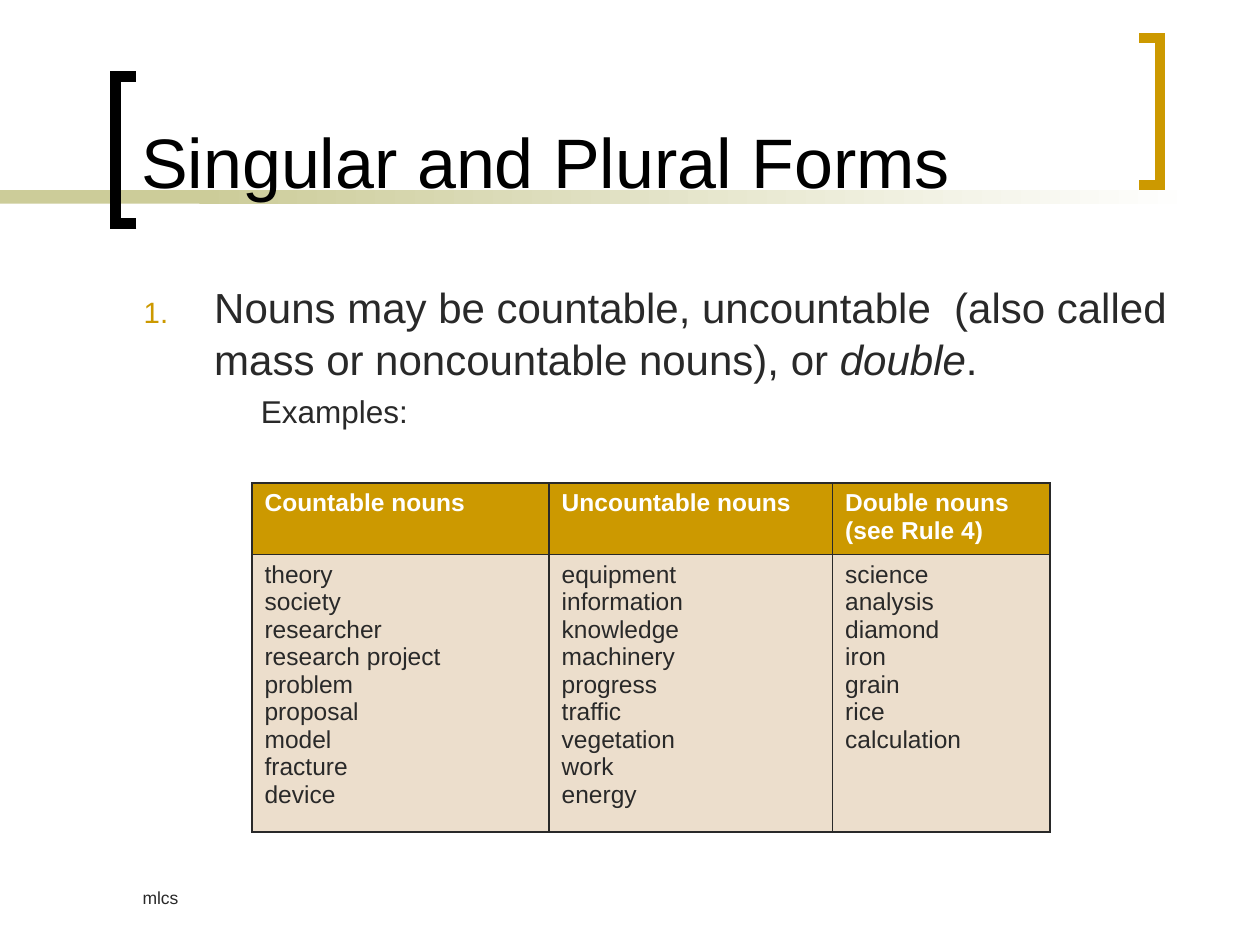
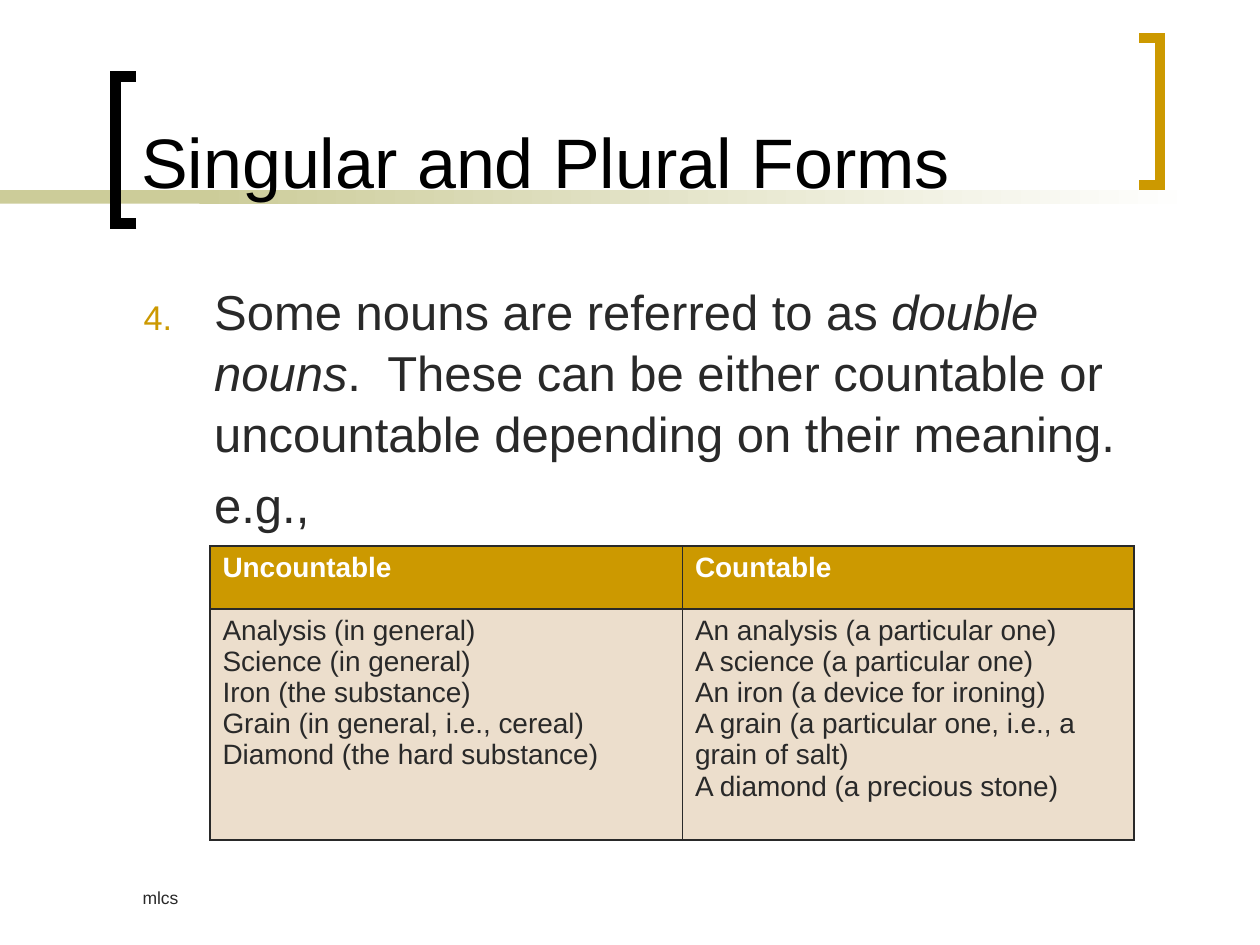
from lxml.etree import SubElement
from pptx import Presentation
from pptx.dml.color import RGBColor
from pptx.enum.shapes import MSO_SHAPE as Shape
from pptx.enum.text import MSO_ANCHOR as Anchor
from pptx.oxml import parse_xml
from pptx.oxml.ns import nsdecls, qn
from pptx.util import Inches, Pt

BLACK = RGBColor(0x00, 0x00, 0x00)
WHITE = RGBColor(0xFF, 0xFF, 0xFF)
INK = RGBColor(0x29, 0x29, 0x29)
GOLD = RGBColor(0xCC, 0x99, 0x00)
OLIVE = RGBColor(0xCC, 0xCC, 0x99)
SAND = RGBColor(0xEC, 0xDE, 0xCC)
FONT = "Arial"

deck = Presentation()
deck.slide_width, deck.slide_height = Inches(10), Inches(7.5)
UNIT = deck.slide_width // 120  # the page is a grid of 120 columns by 90 rows

BAND_TOP, BAND_HEIGHT = 18.1, 1.3
BRACKET_ARM, BRACKET_HEIGHT = 2, 14
# Each bracket: colour, column of the arm ends, column of the spine, top row
BRACKETS = [(BLACK, 13, 11, 7.3), (GOLD, 108.5, 110.5, 3.6)]

# Each body paragraph: left margin, first-line indent (inches), size, number, runs
SLIDES = [
    dict(
        body=[
            (0.56, -0.56, 24, 1, [
                ("Nouns may be countable, uncountable  (also called mass or "
                 "noncountable nouns), or ", False),
                ("double", True), (".", False)]),
            (0.93, 0, 18, None, [("Examples:", False)]),
        ],
        corner=(24, 46), columns=(28.3, 27, 20.7), rows=(6.4, 25), size=14,
        cells=[
            ["Countable nouns", "Uncountable nouns", "Double nouns\n(see Rule 4)"],
            ["theory\nsociety\nresearcher\nresearch project\nproblem\n"
             "proposal\nmodel\nfracture\ndevice",
             "equipment\ninformation\nknowledge\nmachinery\nprogress\n"
             "traffic\nvegetation\nwork\nenergy",
             "science\nanalysis\ndiamond\niron\ngrain\nrice\ncalculation"],
        ],
    ),
    dict(
        body=[
            (0.56, -0.56, 28, 4, [
                ("Some nouns are referred to as ", False),
                ("double nouns", True),
                (".  These can be either countable or uncountable depending "
                 "on their meaning.", False)]),
            (0.56, 0, 28, None, [("e.g.,", False)]),
        ],
        corner=(20, 52), columns=(45, 43), rows=(6, 22), size=16,
        cells=[
            ["Uncountable", "Countable"],
            ["Analysis (in general)\nScience (in general)\n"
             "Iron (the substance)\nGrain (in general, i.e., cereal)\n"
             "Diamond (the hard substance)",
             "An analysis (a particular one)\nA science (a particular one)\n"
             "An iron (a device for ironing)\n"
             "A grain (a particular one, i.e., a grain of salt)\n"
             "A diamond (a precious stone)"],
        ],
    ),
]


def grid(*counts):
    """Turn counts of grid units into lengths."""
    return [round(count * UNIT) for count in counts]


def add_text(page, place, text, size, color, anchor=Anchor.TOP):
    """Add a wrapping text box with one styled paragraph and return its frame."""
    frame = page.shapes.add_textbox(*grid(*place)).text_frame
    frame.word_wrap = True
    frame.vertical_anchor = anchor
    frame.text = text
    font = frame.paragraphs[0].font
    font.name, font.size, font.color.rgb = FONT, Pt(size), color
    return frame


for content in SLIDES:
    page = deck.slides.add_slide(deck.slide_layouts[6])

    # Band: a solid start, then a fade to white
    for left, width, fades in [(0, 28, False), (19, 95, True)]:
        band = page.shapes.add_shape(
            Shape.RECTANGLE, *grid(left, BAND_TOP, width, BAND_HEIGHT))
        band.shadow.inherit = False
        band.line.fill.background()
        if fades:
            band.fill.gradient()
            band.fill.gradient_angle = 0
            for stop, color in zip(band.fill.gradient_stops, (OLIVE, WHITE)):
                stop.color.rgb = color
        else:
            band.fill.solid()
            band.fill.fore_color.rgb = OLIVE

    # Brackets around the title
    for color, tip, spine, top in BRACKETS:
        bottom = top + BRACKET_HEIGHT
        builder = page.shapes.build_freeform(*grid(tip, bottom))
        builder.add_line_segments(
            [grid(spine, bottom), grid(spine, top), grid(tip, top)], close=False)
        bracket = builder.convert_to_shape()
        bracket.shadow.inherit = False
        bracket.fill.background()
        bracket.line.color.rgb = color
        bracket.line.width = Pt(6)
        SubElement(bracket.line._get_or_add_ln(), qn("a:miter"), lim="800000")

    add_text(page, (12.25, 1.3, 94, 18.6), "Singular and Plural Forms",
             40, BLACK, Anchor.BOTTOM)

    # Body
    frame = add_text(page, (12.5, 26, 100.5, 54), "", 24, INK)
    for index, (margin, indent, size, number, runs) in enumerate(content["body"]):
        para = frame.paragraphs[0] if index == 0 else frame.add_paragraph()
        para.line_spacing = 1.04
        para.space_before = Pt(size * 0.2 if index else 0)
        properties = para._p.get_or_add_pPr()
        properties.set("marL", str(Inches(margin)))
        properties.set("indent", str(Inches(indent)))
        if number:
            for bullet in (
                f'<a:buClr {nsdecls("a")}><a:srgbClr val="{GOLD}"/></a:buClr>',
                f'<a:buSzPct {nsdecls("a")} val="70000"/>',
                f'<a:buFont {nsdecls("a")} typeface="{FONT}"/>',
                f'<a:buAutoNum {nsdecls("a")} type="arabicPeriod" startAt="{number}"/>',
            ):
                properties.append(parse_xml(bullet))
        for text, italic in runs:
            span = para.add_run()
            span.text = text
            span.font.name, span.font.size = FONT, Pt(size)
            span.font.color.rgb, span.font.italic = INK, italic

    footer = add_text(page, (12.4, 82, 25, 6), "mlcs", 10, INK, Anchor.BOTTOM)
    footer.margin_bottom = Inches(0.13)

    # Table
    columns, rows = content["columns"], content["rows"]
    table = page.shapes.add_table(
        len(rows), len(columns),
        *grid(*content["corner"], sum(columns), sum(rows))).table
    table.horz_banding = False
    for column, width in zip(table.columns, grid(*columns)):
        column.width = width
    for row, height, texts in zip(table.rows, grid(*rows), content["cells"]):
        row.height = height
        is_header = texts is content["cells"][0]
        for cell, text in zip(row.cells, texts):
            cell.text = text
            for para in cell.text_frame.paragraphs:
                for span in para.runs:
                    span.font.name, span.font.size = FONT, Pt(content["size"])
                    span.font.bold = is_header
                    span.font.color.rgb = WHITE if is_header else INK
            properties = cell._tc.get_or_add_tcPr()
            for side in ("lnL", "lnR", "lnT", "lnB"):
                properties.append(parse_xml(
                    f'<a:{side} {nsdecls("a")} w="{Pt(1)}"><a:solidFill>'
                    f'<a:srgbClr val="{INK}"/></a:solidFill></a:{side}>'))
            cell.fill.solid()
            cell.fill.fore_color.rgb = GOLD if is_header else SAND

deck.save("out.pptx")
